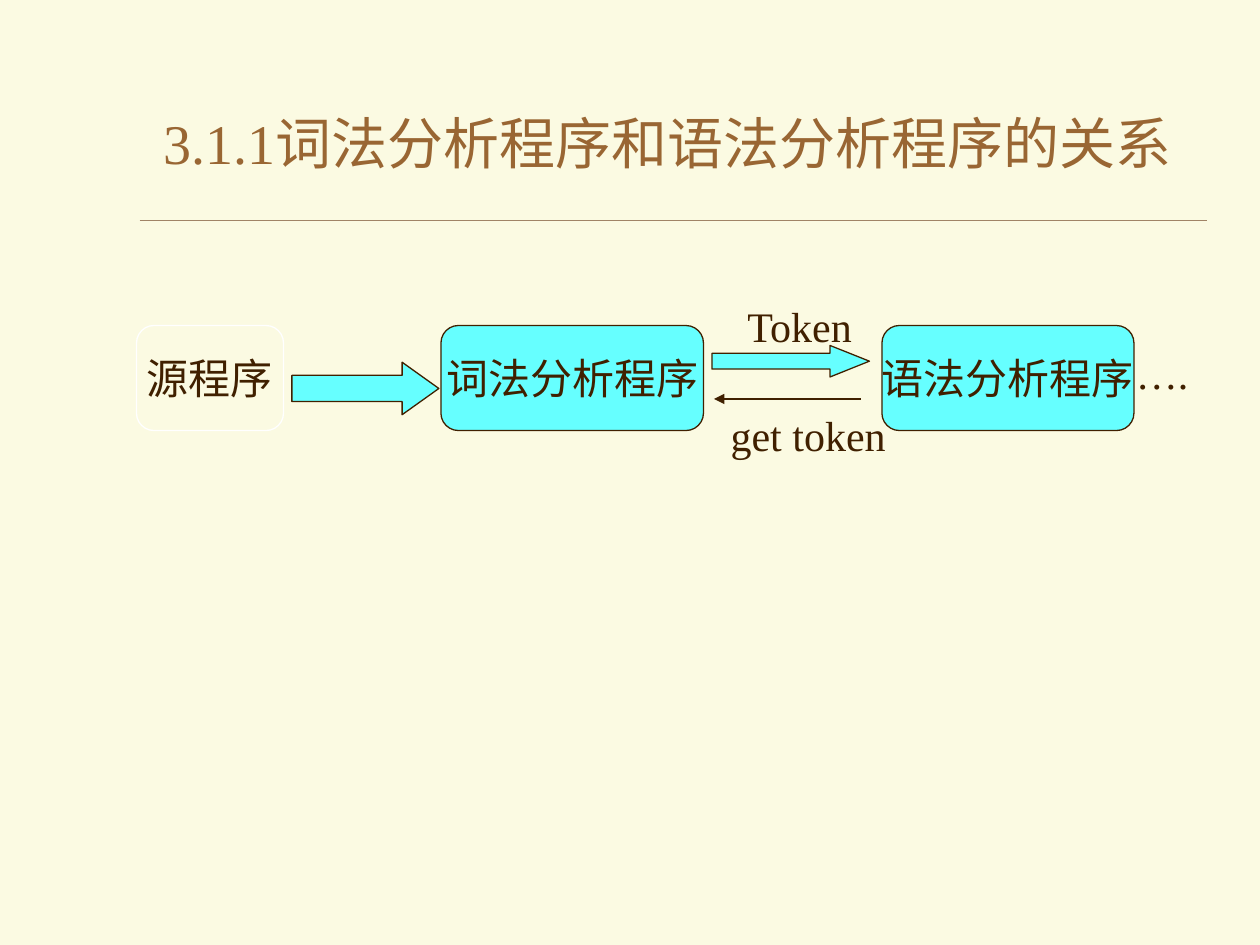
from lxml import etree
from pptx import Presentation
from pptx import util as u
from pptx.dml.color import RGBColor
from pptx.enum import shapes, text
from pptx.oxml.ns import qn

PX = 7620  # EMU per px, 120 px to the inch
COLORS = {
    "paper": "FBFAE2",
    "title": "996633",
    "rule": "A08366",
    "ink": "402000",
    "cyan": "66FFFF",
    "white": "FFFFFF",
}


def px(*lengths):
    return [u.Emu(length * PX) for length in lengths]


def color(name):
    return RGBColor.from_string(COLORS[name])


class Diagram:
    font = "Times New Roman"
    line_width = 0.75

    def __init__(self, slide):
        self.slide = slide
        slide.background.fill.solid()
        slide.background.fill.fore_color.rgb = color("paper")

    def set_words(self, frame, words, size=24, ink="ink", align=None):
        frame.text = words
        paragraph = frame.paragraphs[0]
        paragraph.alignment = align
        font = paragraph.runs[0].font
        font.name, font.size = self.font, u.Pt(size)
        font.color.rgb = color(ink)

    def title(self, words, *box):
        title = self.slide.shapes.title
        title.left, title.top, title.width, title.height = px(*box)
        title.text_frame.vertical_anchor = text.MSO_ANCHOR.MIDDLE
        self.set_words(title.text_frame, words, 32, "title", text.PP_ALIGN.LEFT)

    def shape(self, kind, box, fill, line):
        shape = self.slide.shapes.add_shape(kind, *px(*box))
        shape.shadow.inherit = False
        shape.fill.solid()
        shape.fill.fore_color.rgb = color(fill)
        shape.line.color.rgb = color(line)
        shape.line.width = u.Pt(self.line_width)
        return shape

    def stage(self, words, left, width, fill="cyan", line="ink", opacity=100):
        stage = self.shape(shapes.MSO_SHAPE.ROUNDED_RECTANGLE,
                           (left, 310, width, 100), fill, line)
        if opacity < 100:
            tint = stage._element.spPr.find(qn("a:solidFill"))[0]
            etree.SubElement(tint, qn("a:alpha"), val=str(opacity * 1000))
        stage.text_frame.word_wrap = False
        stage.text_frame.vertical_anchor = text.MSO_ANCHOR.MIDDLE
        self.set_words(stage.text_frame, words, align=text.PP_ALIGN.CENTER)

    def block_arrow(self, box, head):
        arrow = self.shape(shapes.MSO_SHAPE.RIGHT_ARROW, box, "cyan", "ink")
        arrow.adjustments[1] = head

    def label(self, words, *box):
        label = self.slide.shapes.add_textbox(*px(*box))
        label.text_frame.word_wrap = False
        label.text_frame.auto_size = text.MSO_AUTO_SIZE.SHAPE_TO_FIT_TEXT
        self.set_words(label.text_frame, words)

    def line(self, start, end, y, ink="ink", width=line_width, arrow=False):
        line = self.slide.shapes.add_connector(
            shapes.MSO_CONNECTOR.STRAIGHT, *px(start, y, end, y))
        line.line.color.rgb = color(ink)
        line.line.width = u.Pt(width)
        properties = line._element.spPr
        if arrow:
            etree.SubElement(properties.find(qn("a:ln")), qn("a:tailEnd"), type="triangle")
        etree.SubElement(properties, qn("a:effectLst"))


def main():
    deck = Presentation()
    deck.slide_width, deck.slide_height = px(1200, 900)
    diagram = Diagram(deck.slides.add_slide(deck.slide_layouts[5]))

    # Heading with its rule
    diagram.line(133, 1150, 210, "rule", 0.25)
    diagram.title(" 3.1.1词法分析程序和语法分析程序的关系", 130, 60, 1020, 150)

    # Source program, lexer and parser
    diagram.stage("源程序", 130, 140, "paper", "white", opacity=50)
    diagram.stage("词法分析程序", 420, 250)
    diagram.stage("语法分析程序", 840, 240)

    # Source program into the lexer
    diagram.block_arrow((278, 345, 140, 50), head=0.7)

    # Exchange between lexer and parser
    diagram.label("Token", 700, 280, 126, 60)
    diagram.line(820, 680, 380, arrow=True)
    diagram.label("get token", 684, 384, 172, 60)
    diagram.label("….", 1070, 325, 74, 60)
    diagram.block_arrow((678, 329, 150, 30), head=1.25)

    deck.save("out.pptx")


if __name__ == "__main__":
    main()
